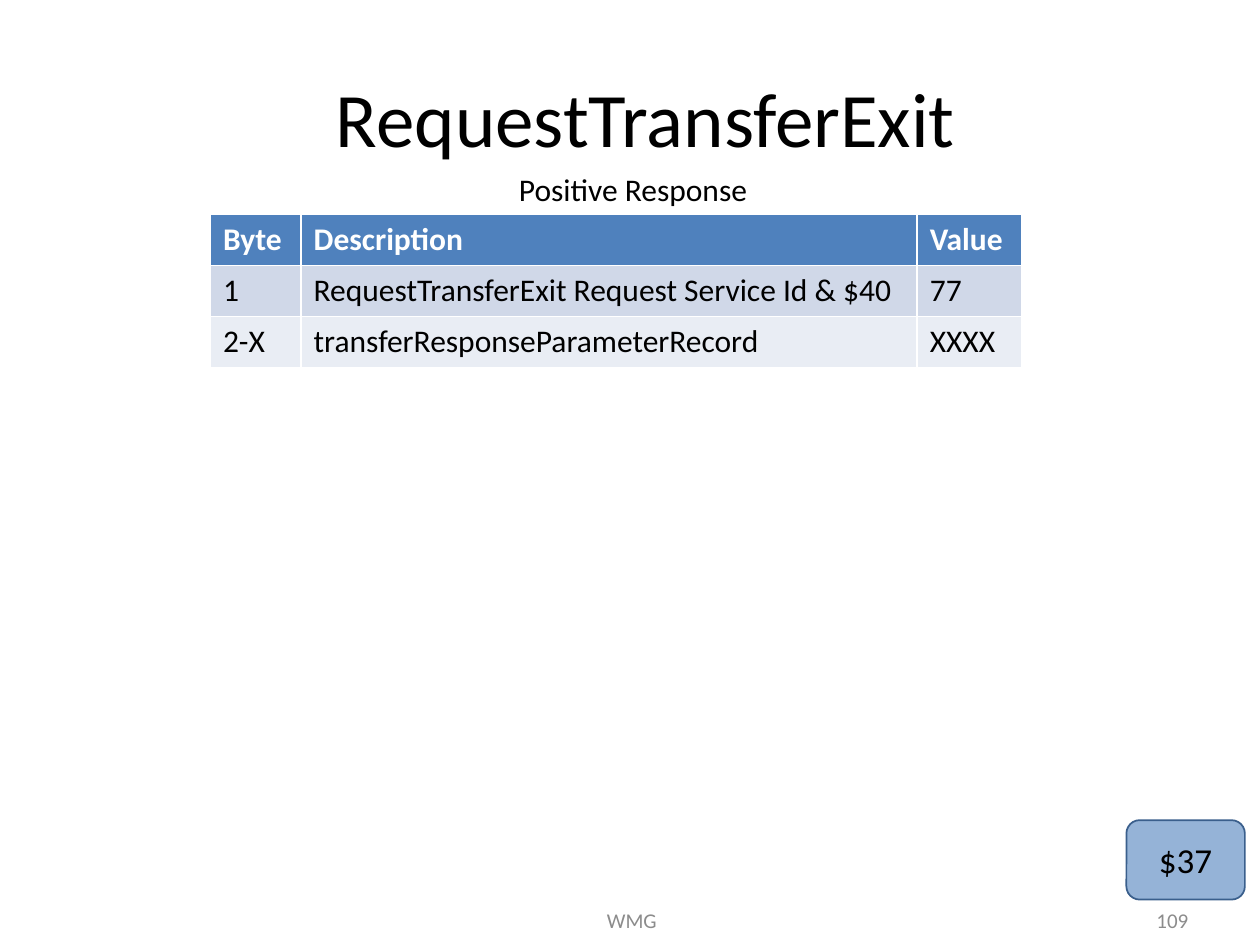
from pptx import Presentation
from pptx import util as u
from pptx.dml.color import RGBColor
from pptx.enum import shapes, text

PX = 9144  # 100 px to the inch
MID = text.MSO_ANCHOR.MIDDLE
LEFT, CENTER, RIGHT = (text.PP_ALIGN.LEFT, text.PP_ALIGN.CENTER,
                       text.PP_ALIGN.RIGHT)

ROWS = [
    ("Byte", "Description", "Value"),
    ("1", "RequestTransferExit Request Service Id & $40", "77"),
    ("2-X", "transferResponseParameterRecord", "XXXX"),
]
COLS = (72, 489, 83)
FILLS = ("4F81BD", "D0D8E8", "E9EDF4")


def px(*sizes):
    return [u.Emu(size * PX) for size in sizes]


def color(code):
    return RGBColor.from_string(code)


def paint(fill, code):
    fill.solid()
    fill.fore_color.rgb = color(code)


def write(frame, words, size, code="000000", align=CENTER, bold=False):
    para = frame.paragraphs[0]
    para.alignment = align
    run = para.add_run()
    run.text = words
    style = {"name": "Calibri", "size": u.Pt(size), "bold": bold}
    for key, value in style.items():
        setattr(run.font, key, value)
    run.font.color.rgb = color(code)


def add_title(slide, box, words):
    title = slide.shapes.title
    for key, value in zip(("left", "top", "width", "height"), px(*box)):
        setattr(title, key, value)
    title.text_frame.vertical_anchor = MID
    write(title.text_frame, words, 44)


def add_label(slide, box, words, size, wrap=True, **style):
    frame = slide.shapes.add_textbox(*px(*box)).text_frame
    frame.word_wrap = wrap
    if wrap:
        frame.vertical_anchor = MID
    else:
        frame.auto_size = text.MSO_AUTO_SIZE.SHAPE_TO_FIT_TEXT
    write(frame, words, size, **style)


def add_grid(slide, box):
    """Place the table of response bytes."""
    grid = slide.shapes.add_table(len(ROWS), len(COLS), *px(*box)).table
    for col, width in zip(grid.columns, px(*COLS)):
        col.width = width
    for r, (words, fill) in enumerate(zip(ROWS, FILLS)):
        head = r == 0
        for c, word in enumerate(words):
            cell = grid.cell(r, c)
            paint(cell.fill, fill)
            write(cell.text_frame, word, 18, "FFFFFF" if head else "000000",
                  LEFT, head)


def add_badge(slide, box, words):
    badge = slide.shapes.add_shape(
        shapes.MSO_SHAPE.ROUNDED_RECTANGLE, *px(*box))
    badge.shadow.inherit = False
    paint(badge.fill, "95B3D7")
    badge.line.color.rgb = color("3A5F8C")
    badge.line.width = u.Pt(1)
    badge.text_frame.vertical_anchor = MID
    write(badge.text_frame, words, 20)


def main():
    deck = Presentation()
    deck.slide_width, deck.slide_height = px(1000, 750)
    slide = deck.slides.add_slide(deck.slide_layouts[5])
    add_title(slide, (75, 30, 875, 125), "RequestTransferExit")
    add_label(slide, (343, 710, 317, 40), "WMG", 12, code="8C8C8C")
    add_label(slide, (720, 710, 233, 40), "109", 12, code="8C8C8C",
              align=RIGHT)
    add_grid(slide, (167, 170, 645, 122))
    add_badge(slide, (894, 651, 94, 63), "$37")
    add_label(slide, (401, 130, 203, 40), "Positive Response", 18, wrap=False)
    deck.save("out.pptx")


if __name__ == "__main__":
    main()
